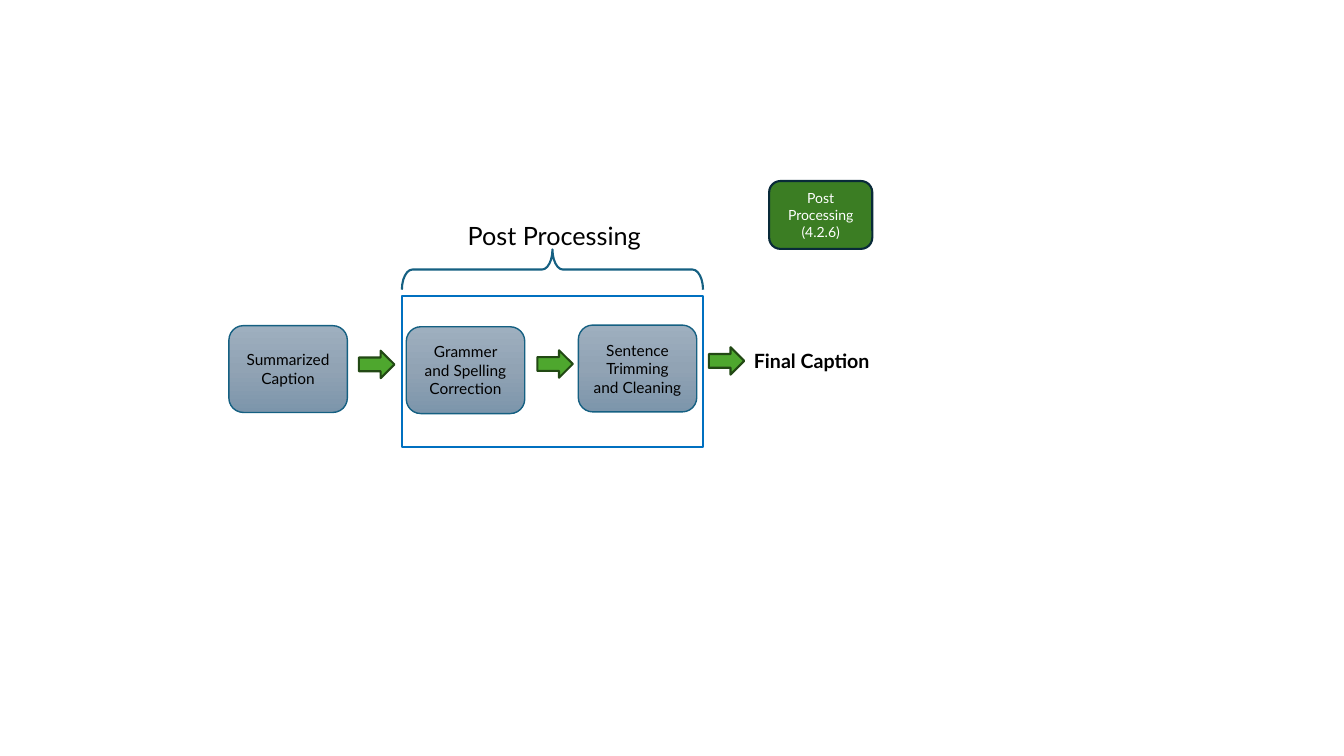
from copy import deepcopy

from pptx import Presentation
from pptx.dml.color import RGBColor
from pptx.enum.shapes import MSO_SHAPE
from pptx.enum.text import MSO_ANCHOR, PP_ALIGN
from pptx.oxml.ns import qn
from pptx.util import Pt

ROUNDED = MSO_SHAPE.ROUNDED_RECTANGLE
RECTANGLE = MSO_SHAPE.RECTANGLE
ARROW = MSO_SHAPE.RIGHT_ARROW
BRACE = MSO_SHAPE.LEFT_BRACE
LEFT, CENTER = PP_ALIGN.LEFT, PP_ALIGN.CENTER
MIDDLE = MSO_ANCHOR.MIDDLE

BLACK = RGBColor(0x00, 0x00, 0x00)
WHITE = RGBColor(0xFF, 0xFF, 0xFF)
TEAL = RGBColor(0x15, 0x60, 0x82)
BLUE = RGBColor(0x00, 0x70, 0xC0)
NAVY = RGBColor(0x09, 0x2A, 0x39)
GREEN = RGBColor(0x4E, 0xA7, 0x2E)
FOREST = RGBColor(0x3B, 0x7D, 0x23)
DARK_GREEN = RGBColor(0x22, 0x49, 0x14)
STEEL = [RGBColor(0x9E, 0xAF, 0xBF), RGBColor(0x91, 0xA3, 0xB4), RGBColor(0x7C, 0x95, 0xAB)]

prs = Presentation()
prs.slide_width, prs.slide_height = Pt(960), Pt(540)
s = prs.slides.add_slide(prs.slide_layouts[6])


def add_outline(kind, x, y, w, h, line, weight=1.5, fill=None):
    sp = s.shapes.add_shape(kind, Pt(x), Pt(y), Pt(w), Pt(h))
    sp.shadow.inherit = False
    sp.line.color.rgb = line
    sp.line.width = Pt(weight)
    if fill is None:
        sp.fill.background()
    else:
        sp.fill.solid()
        sp.fill.fore_color.rgb = fill
    return sp


def write(sp, text, size, color=BLACK, bold=False, align=CENTER, wrap=True):
    tf = sp.text_frame
    tf.word_wrap = wrap
    tf.text = text
    for p in tf.paragraphs:
        p.alignment = align
        font = p.runs[0].font
        font.name, font.size, font.bold = "Lato", Pt(size), bold
        font.color.rgb = color


steps = [
    ("Summarized Caption", 163.5, 232.6),
    ("Grammer and Spelling Correction", 290.2, 233.4),
    ("Sentence Trimming and Cleaning", 413.1, 232.2),
]
for text, x, y in steps:
    sp = add_outline(ROUNDED, x, y, 84.6, 62, TEAL, 1)
    sp.fill.gradient()
    sp.fill.gradient_angle = 270
    stops = sp._element.spPr.find(qn("a:gradFill")).find(qn("a:gsLst"))
    stops.insert(1, deepcopy(stops[0]))
    for i, stop in enumerate(sp.fill.gradient_stops):
        stop.position = i / 2
        stop.color.rgb = STEEL[i]
    sp.text_frame.vertical_anchor = MIDDLE
    write(sp, text, 11)

for x, y in [(256.4, 250.5), (383.8, 250.2), (506.3, 248)]:
    add_outline(ARROW, x, y, 25.3, 19.6, DARK_GREEN, fill=GREEN)

add_outline(RECTANGLE, 287.1, 211.5, 215.1, 107.6, BLUE)

brace = add_outline(BRACE, 380.2, 85, 28.8, 215.1, TEAL)
brace.rotation = 90
brace.adjustments[0] = 0.26
brace.adjustments[1] = 0.5

labels = [
    ("Final Caption", 531.4, 245.5, 143.3, 24.2, 14, True, True),
    ("Post Processing", 327, 153.6, 139, 29.1, 18, False, False),
]
for text, x, y, w, h, size, bold, wrap in labels:
    box = s.shapes.add_textbox(Pt(x), Pt(y), Pt(w), Pt(h))
    write(box, text, size, bold=bold, align=LEFT, wrap=wrap)

section = add_outline(ROUNDED, 549.4, 129.3, 73.7, 48.5, NAVY, fill=FOREST)
section.text_frame.vertical_anchor = MIDDLE
write(section, "Post Processing\n(4.2.6)", 10, WHITE)

prs.save("out.pptx")
